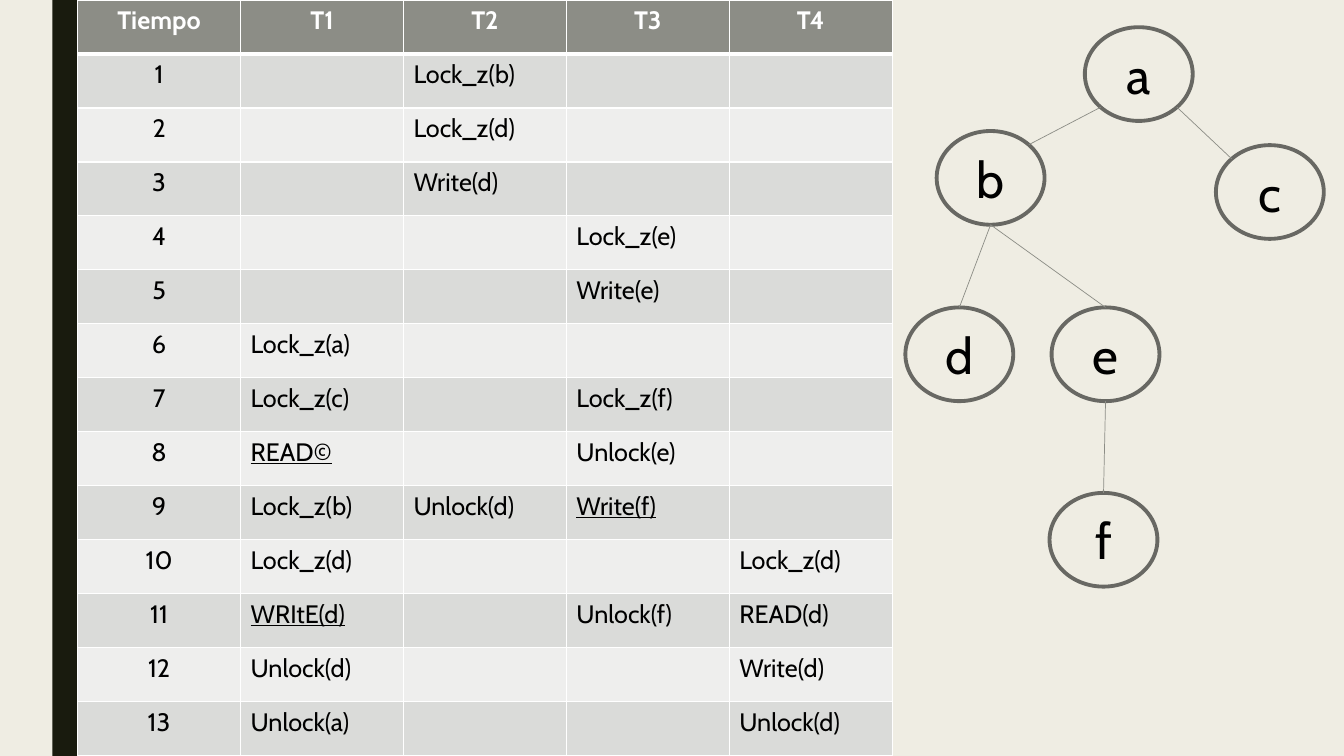
import math
from lxml import etree
from pptx import Presentation
from pptx import util as u
from pptx.dml import color
from pptx.enum import shapes, text
from pptx.oxml import ns


def paint(target, value):
    if hasattr(target, "solid"):
        target.solid()
        target = target.fore_color
    target.rgb = color.RGBColor.from_string(value)


def style_text(paragraph, size, value, bold=False, underline=False):
    for span in paragraph.runs:
        span.font.name = "Cabin"
        span.font.size = u.Pt(size)
        span.font.bold = bold
        span.font.underline = underline
        paint(span.font.color, value)


deck = Presentation()
deck.slide_width = u.Inches(13.33)
deck.slide_height = u.Inches(7.5)
page = deck.slides.add_slide(deck.slide_layouts[6])
paint(page.background.fill, "EFEDE3")

band = page.shapes.add_shape(shapes.MSO_SHAPE.RECTANGLE, u.Inches(0.52), 0,
                             u.Inches(0.25), u.Inches(7.5))
band.shadow.inherit = False
paint(band.fill, "191B0E")
band.line.fill.background()

schedule = [
    ["Tiempo", "T1", "T2", "T3", "T4"],
    ["1", "", "Lock_z(b)", "", ""],
    ["2", "", "Lock_z(d)", "", ""],
    ["3", "", "Write(d)", "", ""],
    ["4", "", "", "Lock_z(e)", ""],
    ["5", "", "", "Write(e)", ""],
    ["6", "Lock_z(a)", "", "", ""],
    ["7", "Lock_z(c)", "", "Lock_z(f)", ""],
    ["8", "READ©", "", "Unlock(e)", ""],
    ["9", "Lock_z(b)", "Unlock(d)", "Write(f)", ""],
    ["10", "Lock_z(d)", "", "", "Lock_z(d)"],
    ["11", "WRItE(d)", "", "Unlock(f)", "READ(d)"],
    ["12", "Unlock(d)", "", "", "Write(d)"],
    ["13", "Unlock(a)", "", "", "Unlock(d)"],
]
underlined = {"READ©", "Write(f)", "WRItE(d)"}

table = page.shapes.add_table(len(schedule), 5, u.Inches(0.77), 0,
                              u.Inches(8.08), u.Inches(7.5)).table
for row, entries in enumerate(schedule):
    header = row == 0
    for column, entry in enumerate(entries):
        cell = table.cell(row, column)
        properties = cell._tc.get_or_add_tcPr()
        for side in "LRTB":
            thick = (row, side) in {(0, "B"), (1, "T")}
            border = etree.SubElement(properties, ns.qn("a:ln" + side),
                                      w=str(u.Pt(3 if thick else 1)))
            fill = etree.SubElement(border, ns.qn("a:solidFill"))
            etree.SubElement(fill, ns.qn("a:srgbClr"), val="FFFFFF")
        paint(cell.fill, "8C8D86" if header else "DADBD9" if row % 2 else "EEEEED")
        cell.text_frame.text = entry
        para = cell.text_frame.paragraphs[0]
        if header or column == 0:
            para.alignment = text.PP_ALIGN.CENTER
        style_text(para, 18, "FFFFFF" if header else "000000", header,
                   entry in underlined)

node_width, node_height = 1.07, 0.93
nodes = {"a": (10.76, 0.27), "b": (9.29, 1.3), "c": (12.06, 1.44),
         "d": (8.98, 3.05), "f": (10.41, 4.89), "e": (10.43, 3.05)}
for name, (left, top) in nodes.items():
    node = page.shapes.add_shape(shapes.MSO_SHAPE.OVAL, u.Inches(left), u.Inches(top),
                                 u.Inches(node_width), u.Inches(node_height))
    node.shadow.inherit = False
    node.fill.background()
    node.line.width = u.Pt(2.75)
    paint(node.line.fill, "686863")
    node.text_frame.text = name
    node.text_frame.vertical_anchor = text.MSO_ANCHOR.MIDDLE
    para = node.text_frame.paragraphs[0]
    para.alignment = text.PP_ALIGN.CENTER
    style_text(para, 36, "000000")

edges = [("a", 135, "b", 45), ("b", 90, "d", 270), ("b", 90, "e", 270),
         ("a", 45, "c", 225), ("e", 90, "f", 270)]
edges[0] = ("a", 135, "b", 315)
for parent, start, child, end in edges:
    points = []
    for name, degrees in ((parent, start), (child, end)):
        left, top = nodes[name]
        angle = math.radians(degrees)
        points.append(u.Inches(left + node_width / 2 * (1 + math.cos(angle))))
        points.append(u.Inches(top + node_height / 2 * (1 + math.sin(angle))))
    edge = page.shapes.add_connector(shapes.MSO_CONNECTOR.STRAIGHT, *points)
    edge.line.width = u.Pt(0.5)
    paint(edge.line.fill, "8C8D86")
    etree.SubElement(edge._element.spPr, ns.qn("a:effectLst"))

deck.save("out.pptx")
